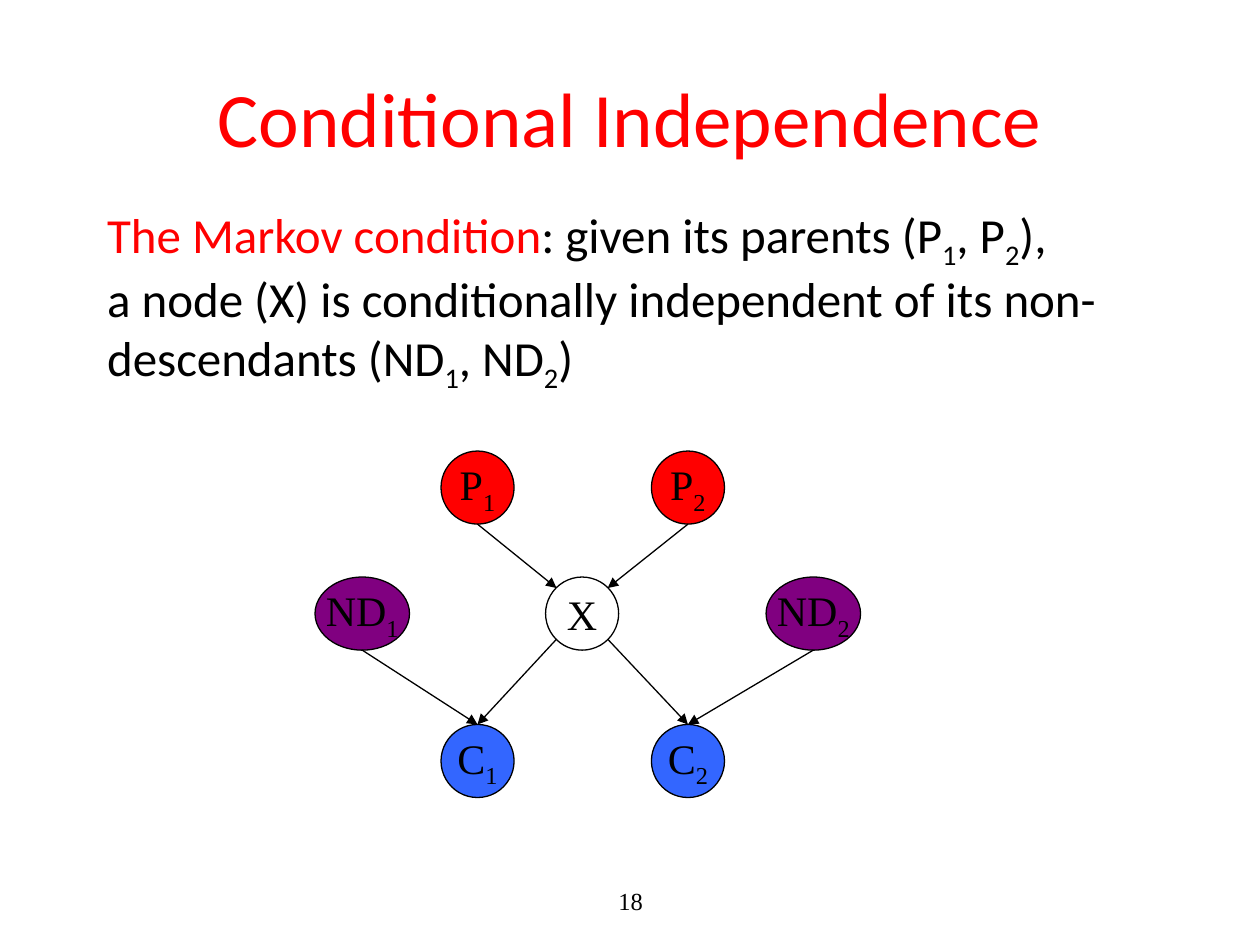
import lxml.etree
import pptx
import pptx.dml.color
import pptx.enum.shapes
import pptx.enum.text
import pptx.oxml.ns
import pptx.util

Inches = pptx.util.Inches
Pt = pptx.util.Pt
qn = pptx.oxml.ns.qn
Align = pptx.enum.text.PP_ALIGN
Anchor = pptx.enum.text.MSO_ANCHOR

BLACK, RED, BLUE, PURPLE = "000000", "FF0000", "3366FF", "800080"
SANS, SERIF = "Calibri", "Times New Roman"
NODE_HEIGHT = 0.58
NODES = {
    "X": ("X", "", 4.33, 4.58, 0.58, None),
    "P1": ("P", "1", 3.5, 3.58, 0.58, RED),
    "P2": ("P", "2", 5.17, 3.58, 0.58, RED),
    "C1": ("C", "1", 3.5, 5.75, 0.58, BLUE),
    "C2": ("C", "2", 5.17, 5.75, 0.58, BLUE),
    "ND2": ("ND", "2", 6.08, 4.58, 0.75, PURPLE),
    "ND1": ("ND", "1", 2.5, 4.58, 0.75, PURPLE),
}
NEAR, FAR = 0.15, 0.85
SITES = {
    "top": (0.5, 0), "bottom": (0.5, 1),
    "top left": (NEAR, NEAR), "top right": (FAR, NEAR),
    "bottom left": (NEAR, FAR), "bottom right": (FAR, FAR),
}
EDGES = [
    ("P1", "bottom", "X", "top left"),
    ("P2", "bottom", "X", "top right"),
    ("X", "bottom right", "C2", "top"),
    ("X", "bottom left", "C1", "top"),
    ("ND1", "bottom", "C1", "top"),
    ("ND2", "bottom", "C2", "top"),
]
CONDITION = [
    [("The Markov condition", RED, False), (": given its parents (P", BLACK, False),
     ("1", BLACK, True), (", P", BLACK, False), ("2", BLACK, True), ("),", BLACK, False)],
    [("a node (X) is conditionally independent of its non-descendants (ND", BLACK, False),
     ("1", BLACK, True), (", ND", BLACK, False), ("2", BLACK, True), (")", BLACK, False)],
]


def rgb(value):
    return pptx.dml.color.RGBColor.from_string(value)


def place(box, left, top, width, height):
    box.left, box.top = Inches(left), Inches(top)
    box.width, box.height = Inches(width), Inches(height)


def add_span(para, text, size, font, color=BLACK, subscript=False):
    span = para.add_run()
    span.text = text
    span.font.size = Pt(size)
    span.font.name = font
    span.font.color.rgb = rgb(color)
    if subscript:
        span.font._element.set("baseline", "-25000")


def add_title(page):
    title = page.shapes.title
    place(title, 0.5, 0.3, 9, 1.25)
    title.text_frame.vertical_anchor = Anchor.MIDDLE
    para = title.text_frame.paragraphs[0]
    para.alignment = Align.CENTER
    add_span(para, "Conditional Independence", 44, SANS, RED)


def add_condition(page):
    body = page.placeholders[1]
    place(body, 0.75, 1.58, 8.58, 1.5)
    frame = body.text_frame
    frame.auto_size = pptx.enum.text.MSO_AUTO_SIZE.NONE
    for index, spans in enumerate(CONDITION):
        para = frame.add_paragraph() if index else frame.paragraphs[0]
        para.line_spacing = 0.9
        para.space_before = Pt(5.6)
        properties = para._p.get_or_add_pPr()
        properties.set("marL", "0")
        properties.set("indent", "0")
        lxml.etree.SubElement(properties, qn("a:buNone"))
        for text, color, subscript in spans:
            add_span(para, text, 28, SANS, color, subscript)


def add_page_number(page):
    box = page.shapes.add_textbox(Inches(3.42), Inches(6.95), Inches(3.17), Inches(0.4))
    box.text_frame.word_wrap = True
    box.text_frame.vertical_anchor = Anchor.MIDDLE
    para = box.text_frame.paragraphs[0]
    para.alignment = Align.CENTER
    add_span(para, "18", 14, SERIF)


def add_node(page, letter, number, left, top, width, color):
    node = page.shapes.add_shape(
        pptx.enum.shapes.MSO_SHAPE.OVAL,
        Inches(left), Inches(top), Inches(width), Inches(NODE_HEIGHT))
    node.shadow.inherit = False
    if color:
        node.fill.solid()
        node.fill.fore_color.rgb = rgb(color)
    else:
        node.fill.background()
    node.line.color.rgb = rgb(BLACK)
    node.line.width = Pt(0.75)
    node.text_frame.word_wrap = False
    node.text_frame.vertical_anchor = Anchor.MIDDLE
    para = node.text_frame.paragraphs[0]
    para.alignment = Align.CENTER
    add_span(para, letter, 24, SERIF)
    if number:
        add_span(para, number, 24, SERIF, subscript=True)


def site_point(name, site):
    left, top, width = NODES[name][2:5]
    across, down = SITES[site]
    return Inches(left + width * across), Inches(top + NODE_HEIGHT * down)


def add_arrow(page, source, source_site, target, target_site):
    arrow = page.shapes.add_connector(
        pptx.enum.shapes.MSO_CONNECTOR.STRAIGHT,
        *site_point(source, source_site), *site_point(target, target_site))
    arrow.line.color.rgb = rgb(BLACK)
    arrow.line.width = Pt(0.75)
    lxml.etree.SubElement(arrow.line._get_or_add_ln(), qn("a:tailEnd"), type="triangle")
    lxml.etree.SubElement(arrow._element.spPr, qn("a:effectLst"))


def main():
    deck = pptx.Presentation()
    deck.slide_width, deck.slide_height = Inches(10), Inches(7.5)
    page = deck.slides.add_slide(deck.slide_layouts[1])
    add_page_number(page)
    add_title(page)
    add_condition(page)
    for node in NODES.values():
        add_node(page, *node)
    for edge in EDGES:
        add_arrow(page, *edge)
    deck.save("out.pptx")


if __name__ == "__main__":
    main()
